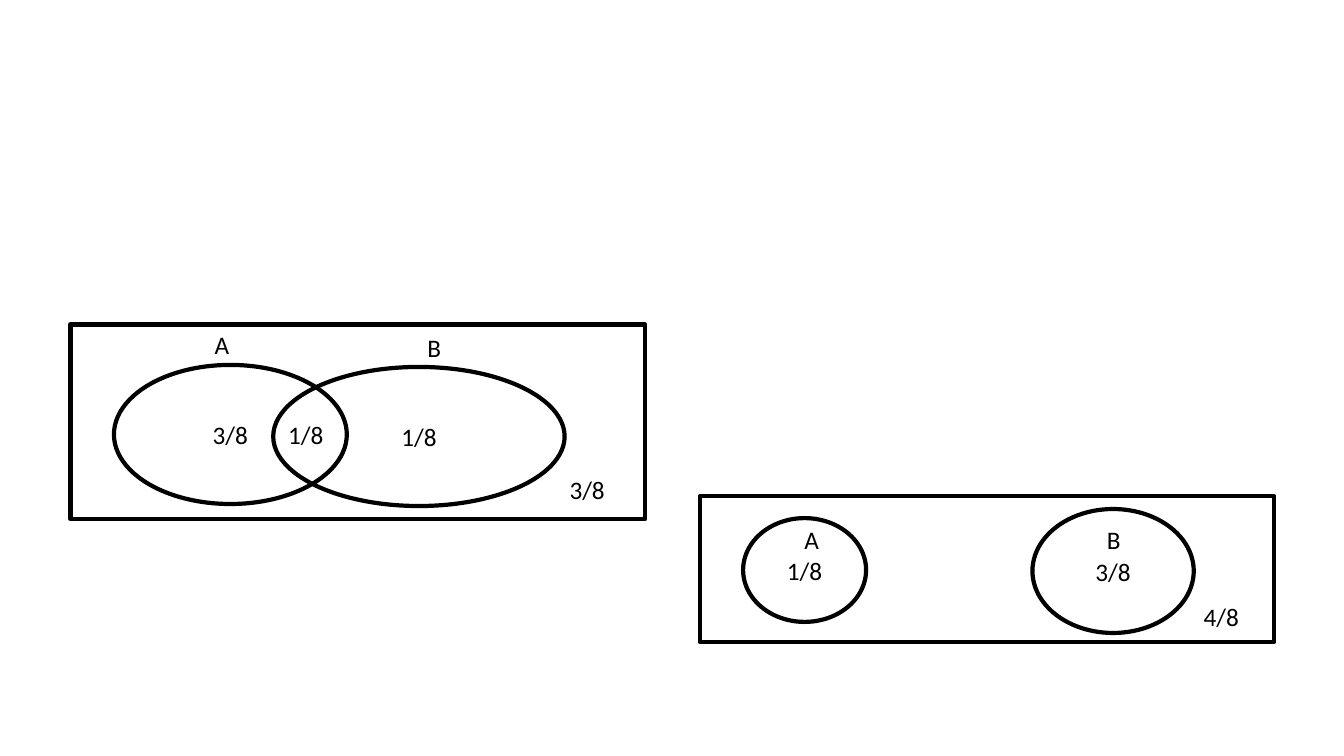
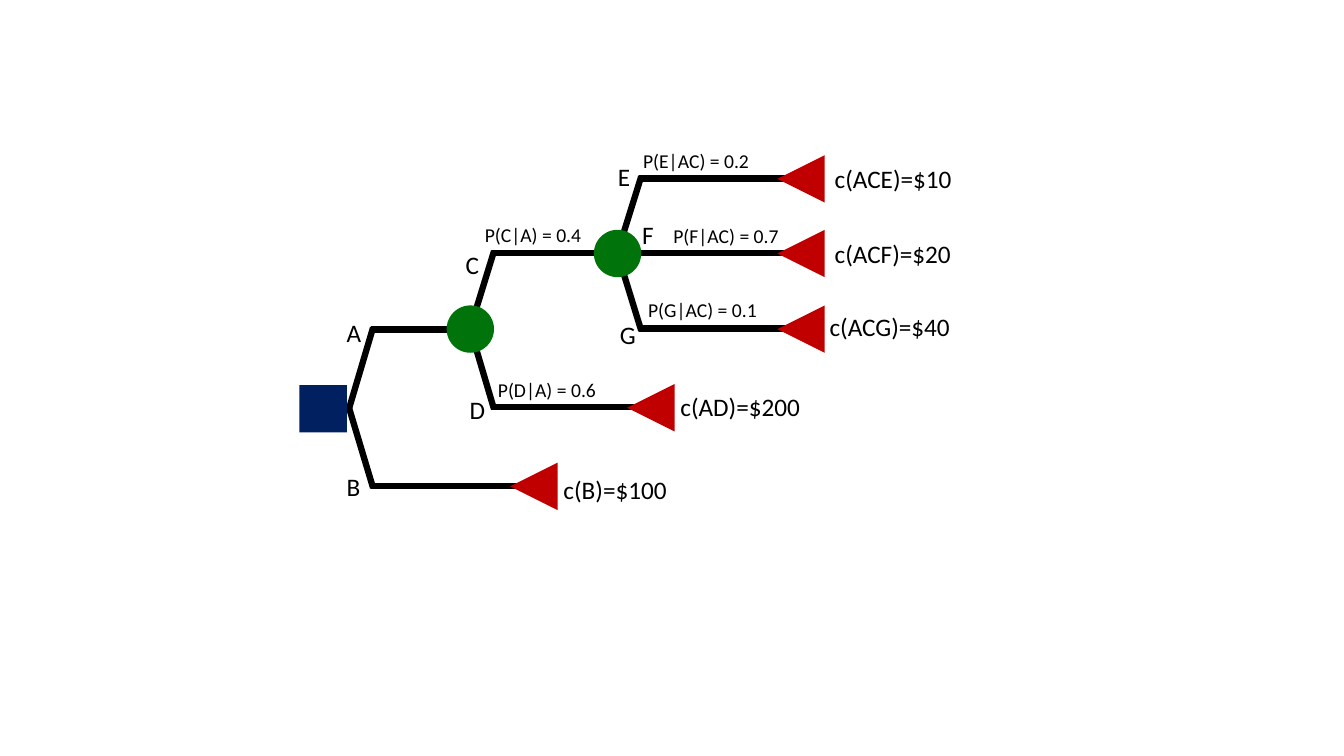
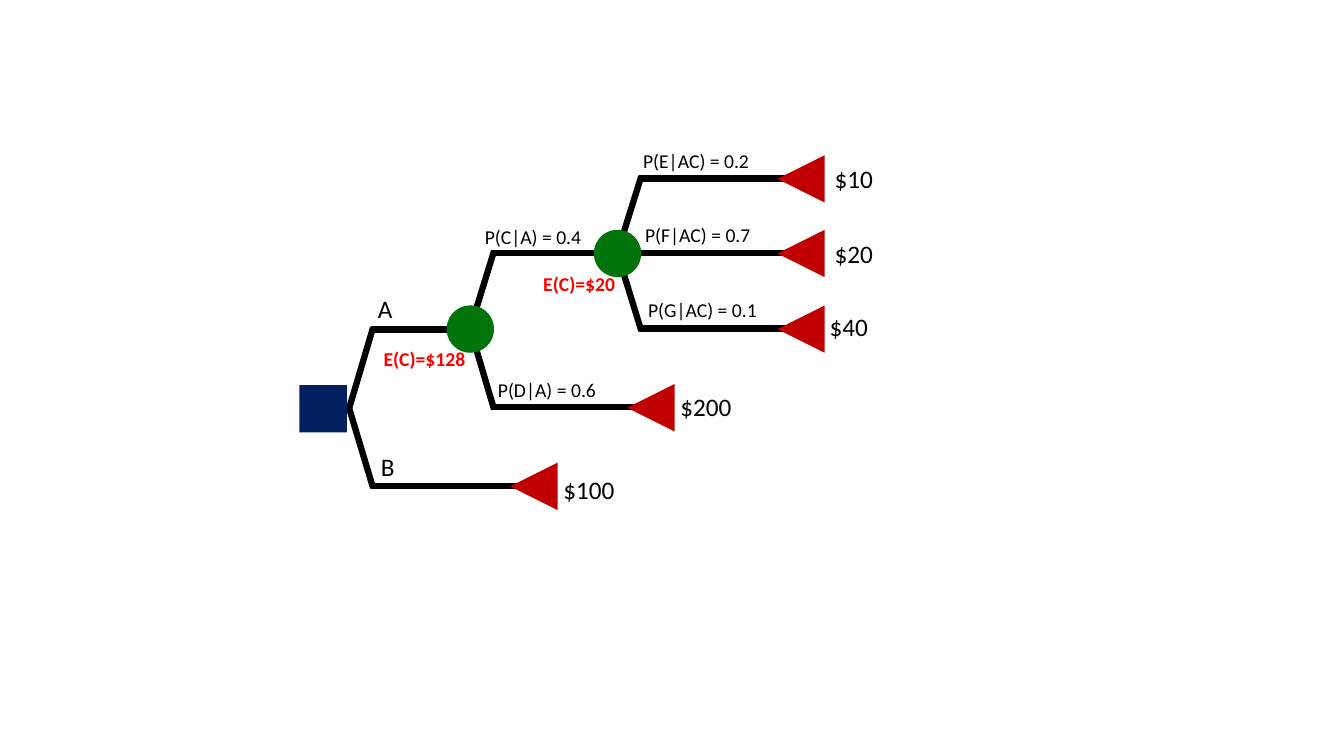
from collections import namedtuple

from lxml.etree import SubElement
from pptx import Presentation
from pptx.dml.color import RGBColor
from pptx.enum.shapes import MSO_CONNECTOR as Connector, MSO_SHAPE as Preset
from pptx.enum.text import MSO_ANCHOR as Anchor, MSO_AUTO_SIZE as AutoSize, PP_ALIGN as Align
from pptx.oxml.ns import qn
from pptx.util import Emu, Pt

PX = 9144
COLORS = {"ink": "000000", "leaf": "C00000", "chance": "00730A", "decision": "002060", "expected": "FF0000"}
FORMATS = {
    "label": {"name": "Calibri", "size": Pt(18), "color": "ink"},
    "probability": {"name": "Calibri", "size": Pt(14), "color": "ink"},
    "expected": {"name": "Calibri", "size": Pt(14), "bold": True, "color": "expected"},
}
NODE = 47
HALF = 23
SLANT = 24

Branch = namedtuple("Branch", "fork_x fork_y y end leaf")
BRANCHES = [
    Branch(346, 405, 327, 443, False),
    Branch(346, 405, 482, 506, True),
    Branch(466, 326, 251, 589, False),
    Branch(466, 326, 404, 622, True),
    Branch(612, 251, 177, 771, True),
    Branch(612, 251, 251, 771, True),
    Branch(612, 251, 326, 771, True),
]
COSTS = [
    ("ACE", 10, 818, 157), ("ACF", 20, 818, 232), ("ACG", 40, 813, 304),
    ("AD", 200, 665, 383), ("B", 100, 549, 466),
]
PROBABILITIES = [
    ("P(E|AC) = 0.2", 628, 143), ("P(G|AC) = 0.1", 633, 291), ("P(D|A) = 0.6", 484, 370),
]


class Deck:
    """Holds the shared style and the slide being drawn."""

    def __init__(self):
        """Start a widescreen presentation."""
        self.presentation = Presentation()
        self.presentation.slide_width = Emu(1333 * PX)
        self.presentation.slide_height = Emu(750 * PX)
        self.slide = None

    def new_slide(self):
        """Add a blank slide and make it current."""
        self.slide = self.presentation.slides.add_slide(self.presentation.slide_layouts[6])

    def color(self, name):
        """Return a named colour."""
        return RGBColor.from_string(COLORS[name])

    def add_words(self, frame, text, style, align):
        """Add one formatted paragraph."""
        paragraph = frame.paragraphs[0]
        paragraph.alignment = align
        run = paragraph.add_run()
        run.text = text
        for key, value in FORMATS[style].items():
            if key == "color":
                run.font.color.rgb = self.color(value)
            else:
                setattr(run.font, key, value)

    def text(self, text, left, top, width=150, style="label", align=Align.LEFT):
        """Add a wrapping text box."""
        height = 40 if style == "label" else 34
        box = self.slide.shapes.add_textbox(*(Emu(v * PX) for v in (left, top, width, height)))
        box.text_frame.word_wrap = True
        box.text_frame.auto_size = AutoSize.SHAPE_TO_FIT_TEXT
        self.add_words(box.text_frame, text, style, align)

    def shape(self, preset, left, top, width, height):
        """Add a preset shape without fill or shadow."""
        shape = self.slide.shapes.add_shape(preset, *(Emu(v * PX) for v in (left, top, width, height)))
        shape.shadow.inherit = False
        shape.fill.background()
        return shape

    def outline(self, preset, left, top, width, height, text=None):
        """Add an outlined shape with optional centred text."""
        shape = self.shape(preset, left, top, width, height)
        shape.line.color.rgb = self.color("ink")
        shape.line.width = Pt(3)
        if text:
            shape.text_frame.vertical_anchor = Anchor.MIDDLE
            self.add_words(shape.text_frame, text, "label", Align.CENTER)

    def node(self, preset, left, middle, color, rotation=0):
        """Add a filled tree node centred on a height."""
        shape = self.shape(preset, left, middle - HALF, NODE, NODE)
        shape.rotation = rotation
        shape.fill.solid()
        shape.fill.fore_color.rgb = self.color(color)
        shape.line.fill.background()

    def line(self, *ends):
        """Add a thick straight line."""
        connector = self.slide.shapes.add_connector(Connector.STRAIGHT, *(Emu(v * PX) for v in ends))
        connector.line.color.rgb = self.color("ink")
        connector.line.width = Pt(4.5)
        SubElement(connector.element.spPr, qn("a:effectLst"))

    def tree(self):
        """Draw the branches, nodes and shared probabilities."""
        for branch in BRANCHES:
            elbow = branch.fork_x + SLANT
            if branch.y != branch.fork_y:
                way = 1 if branch.y > branch.fork_y else -1
                self.line(branch.fork_x, branch.fork_y - way, elbow, branch.y + 2 * way)
            self.line(elbow - 2, branch.y, branch.end + (10 if branch.leaf else 0), branch.y)
        for branch in BRANCHES:
            if branch.leaf:
                self.node(Preset.ISOSCELES_TRIANGLE, branch.end, branch.y, "leaf", 270)
        for x, y in ((466, 326), (612, 251)):
            self.node(Preset.OVAL, x - HALF, y, "chance")
        self.node(Preset.RECTANGLE, 297, 405, "decision")
        for text, left, top in PROBABILITIES:
            self.text(text, left, top, style="probability")

    def venn_slide(self):
        """Draw the overlapping and the separate events."""
        self.new_slide()
        self.outline(Preset.RECTANGLE, 70, 322, 570, 193)
        self.outline(Preset.OVAL, 113, 362, 231, 138, "3/8")
        self.outline(Preset.OVAL, 271, 364, 289, 138, "1/8")
        self.outline(Preset.RECTANGLE, 694, 492, 570, 145)
        self.outline(Preset.OVAL, 737, 514, 122, 103, "1/8")
        self.outline(Preset.OVAL, 1024, 505, 160, 123, "3/8")
        for text, left, top in (
            ("1/8", 276, 411), ("3/8", 555, 466), ("A", 203, 322), ("B", 414, 325),
            ("4/8", 1184, 592), ("A", 788, 515), ("B", 1088, 515),
        ):
            self.text(text, left, top, 72)

    def cost_tree_slide(self):
        """Draw the tree with event names and outcome costs."""
        self.new_slide()
        self.tree()
        self.text("P(F|AC) = 0.7", 658, 217, style="probability")
        self.text("P(C|A) = 0.4", 471, 216, style="probability")
        for event, left, top in (
            ("A", 334, 310), ("B", 334, 463), ("C", 452, 242), ("D", 456, 386),
            ("E", 603, 155), ("F", 627, 213), ("G", 605, 312),
        ):
            self.text(event, left, top, 47)
        for events, amount, left, top in COSTS:
            self.text(f"c({events})=${amount}", left, top, 157)

    def expected_cost_slide(self):
        """Draw the tree with expected costs at the chance nodes."""
        self.new_slide()
        self.tree()
        self.text("P(F|AC) = 0.7", 630, 216, style="probability")
        self.text("P(C|A) = 0.4", 471, 218, style="probability")
        self.text("A", 365, 286, 47)
        self.text("B", 368, 443, 47)
        for _, amount, left, top in COSTS:
            self.text(f"${amount}", left, top, 74)
        self.text("E(C)=$20", 526, 265, 97, "expected", Align.CENTER)
        self.text("E(C)=$128", 367, 339, 108, "expected", Align.CENTER)


def main():
    """Build and save the three slides."""
    deck = Deck()
    deck.venn_slide()
    deck.cost_tree_slide()
    deck.expected_cost_slide()
    deck.presentation.save("out.pptx")


if __name__ == "__main__":
    main()
